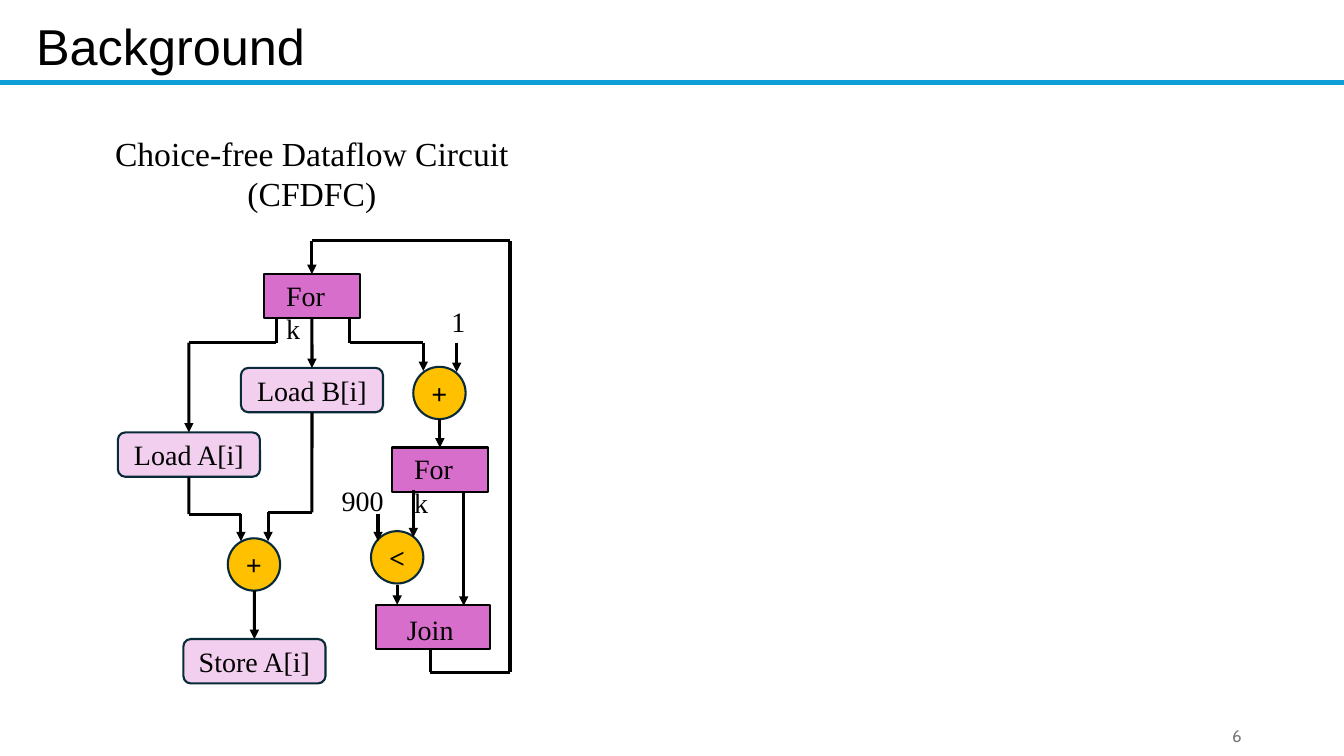
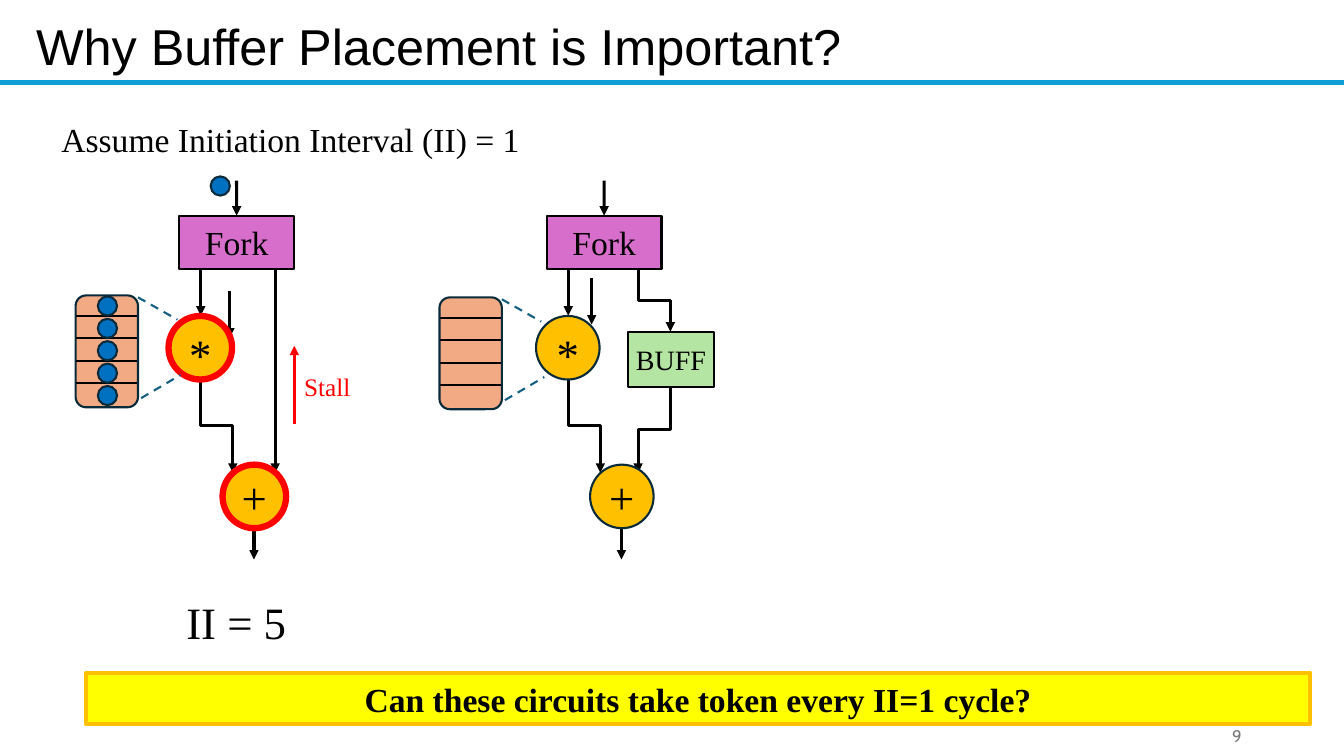
import pptx
import pptx.dml.color
import pptx.enum.dml
import pptx.enum.shapes
import pptx.enum.text
import pptx.oxml
import pptx.oxml.ns
import pptx.shapes.base
import pptx.util

Pt = pptx.util.Pt
RGBColor = pptx.dml.color.RGBColor
SHAPE = pptx.enum.shapes.MSO_SHAPE
CONNECTOR = pptx.enum.shapes.MSO_CONNECTOR
ALIGN = pptx.enum.text.PP_ALIGN
ANCHOR = pptx.enum.text.MSO_ANCHOR
DASH = pptx.enum.dml.MSO_LINE.DASH

# Colours
BLACK = RGBColor(0x00, 0x00, 0x00)
RED = RGBColor(0xFF, 0x00, 0x00)
RULE_BLUE = RGBColor(0x0F, 0x9E, 0xD5)
NUMBER_GREY = RGBColor(0x79, 0x79, 0x79)
OUTLINE = RGBColor(0x09, 0x2A, 0x39)
CONTROL_PURPLE = RGBColor(0xD8, 0x6E, 0xCC)
MEMORY_PINK = RGBColor(0xF2, 0xCF, 0xEE)
OPERATOR_GOLD = RGBColor(0xFF, 0xC0, 0x00)
BUFFER_GREEN = RGBColor(0xB4, 0xE5, 0xA2)
STAGE_ORANGE = RGBColor(0xF2, 0xAA, 0x84)
TOKEN_BLUE = RGBColor(0x00, 0x70, 0xC0)
ZOOM_BLUE = RGBColor(0x15, 0x60, 0x82)
BANNER_YELLOW = RGBColor(0xFF, 0xFF, 0x00)

TOP, BOTTOM = 0, 2  # connection sites of a rectangle
PAGE_WIDTH, PAGE_HEIGHT = 960, 540


class Sketch:
    """Holds the deck, its style and the current page; lengths in points."""

    def __init__(self):
        self.deck = pptx.Presentation()
        self.deck.slide_width = Pt(PAGE_WIDTH)
        self.deck.slide_height = Pt(PAGE_HEIGHT)
        self.page = None

    def new_page(self, title, number):
        self.page = self.deck.slides.add_slide(self.deck.slide_layouts[6])
        self.text(title, 18.7, 7.2, 800, 51, size=36, face="Arial", wrap=True)
        self.line((0, 59), (PAGE_WIDTH, 59), RULE_BLUE, 3)
        self.text(number, 678, 511, 216, 28.8, size=12, face="Cabin",
                  color=NUMBER_GREY, align=ALIGN.RIGHT, anchor=ANCHOR.MIDDLE, wrap=True)

    def fill_text(self, box, words, size, color=BLACK, face="Times New Roman", bold=False,
                  align=ALIGN.LEFT, anchor=ANCHOR.TOP, wrap=False, insets=None):
        frame = box.text_frame
        formats = {"word_wrap": wrap, "vertical_anchor": anchor}
        if insets:
            sides = ("margin_left", "margin_top", "margin_right", "margin_bottom")
            formats.update(zip(sides, map(Pt, insets)))
        for name, value in formats.items():
            setattr(frame, name, value)
        for index, line in enumerate(words.split("\n")):
            para = frame.add_paragraph() if index else frame.paragraphs[0]
            para.alignment = align
            span = para.add_run()
            span.text = line
            for name, value in {"name": face, "size": Pt(size), "bold": bold}.items():
                setattr(span.font, name, value)
            span.font.color.rgb = color

    def text(self, words, left, top, width, height, **style):
        box = self.page.shapes.add_textbox(Pt(left), Pt(top), Pt(width), Pt(height))
        self.fill_text(box, words, **style)

    def shape(self, preset, left, top, width, height, fill, outline=OUTLINE,
              weight=1.5, words="", **style):
        box = self.page.shapes.add_shape(preset, Pt(left), Pt(top), Pt(width), Pt(height))
        box.shadow.inherit = False
        box.fill.solid()
        box.fill.fore_color.rgb = fill
        box.line.color.rgb = outline
        box.line.width = Pt(weight)
        if words:
            centred = {"align": ALIGN.CENTER, "anchor": ANCHOR.MIDDLE, "insets": (0, 0, 0, 0)}
            self.fill_text(box, words, **{**centred, **style})
        return box

    def circle(self, left, top, size, fill, **style):
        # The text size travels in style, the diameter in size
        text_size = style.pop("text_size", None)
        if text_size:
            style["size"] = text_size
        return self.shape(SHAPE.OVAL, left, top, size, size, fill, **style)

    def finish_line(self, link, color, weight, head, dash=None):
        link.line.color.rgb = color
        link.line.width = Pt(weight)
        if dash:
            link.line.dash_style = dash
        properties = link.element.spPr
        if head:
            end = pptx.oxml.parse_xml(
                '<a:tailEnd %s type="triangle"/>' % pptx.oxml.ns.nsdecls("a"))
            properties.get_or_add_ln().append(end)
        properties.append(
            pptx.oxml.parse_xml("<a:effectLst %s/>" % pptx.oxml.ns.nsdecls("a")))

    def line(self, start, end, color=BLACK, weight=2.25, head=False, dash=None):
        """Each end is an (x, y) point or a (shape, site) pair to join."""
        places = []
        for spot, site in (start, end):
            if isinstance(spot, pptx.shapes.base.BaseShape):
                edge = spot.top + (spot.height if site == BOTTOM else 0)
                places += [spot.left + spot.width // 2, edge]
            else:
                places += [Pt(spot), Pt(site)]
        link = self.page.shapes.add_connector(CONNECTOR.STRAIGHT, *places)
        for join, (spot, site) in ((link.begin_connect, start), (link.end_connect, end)):
            if isinstance(spot, pptx.shapes.base.BaseShape):
                join(spot, site)
        self.finish_line(link, color, weight, head, dash)

    def arrow(self, *points, color=BLACK):
        """Straight pieces through the points, with a head on the last one."""
        for index in range(len(points) - 1):
            self.line(points[index], points[index + 1], color,
                      head=index == len(points) - 2)

    def elbow(self, x1, y1, x2, y2):
        """Arrow that runs down, across and down again: a turned elbow."""
        half_run, half_drop = abs(x2 - x1) / 2, (y2 - y1) / 2
        x, y = (x1 + x2) / 2, (y1 + y2) / 2
        link = self.page.shapes.add_connector(
            CONNECTOR.ELBOW, Pt(x - half_drop), Pt(y - half_run),
            Pt(x + half_drop), Pt(y + half_run))
        frame = link.element.spPr.xfrm
        frame.set("rot", "16200000" if x2 > x1 else "5400000")
        if x2 > x1:
            frame.set("flipH", "1")
        self.finish_line(link, BLACK, 2.25, True)


def background(sketch):
    sketch.new_page("Background", "6")
    sketch.text("Choice-free Dataflow Circuit\n(CFDFC)", 51.8, 91.4, 342, 65.5,
                size=24, align=ALIGN.CENTER, wrap=True)

    # Nodes
    def control(words, left, top, width, **style):
        return sketch.shape(SHAPE.RECTANGLE, left, top, width, 31.7, CONTROL_PURPLE,
                            BLACK, words=words, size=20, **style)

    def memory(words, left, top):
        return sketch.shape(SHAPE.ROUNDED_RECTANGLE, left, top, 101.5, 31.7,
                            MEMORY_PINK, words=words, size=20)

    narrow = {"align": ALIGN.LEFT, "anchor": ANCHOR.TOP, "wrap": True,
              "insets": (15.8, 2.9, 23, 0)}
    fork = control("Fork", 188.6, 195.8, 68.4, **narrow)
    loop_fork = control("Fork", 280, 319.7, 68.4, **narrow)
    control("Join", 268.6, 432, 81.4, insets=(0, 3, 4, 0))
    load_a = memory("Load A[i]", 84.2, 308.9)
    load_b = memory("Load B[i]", 172.1, 262.8)
    store = memory("Store A[i]", 131, 456.5)
    for sign, left, top in (("+", 295.2, 262), ("<", 265, 379.4), ("+", 162.7, 384.5)):
        sketch.circle(left, top, 37.4, OPERATOR_GOLD, words=sign, text_size=20, bold=True)
    sketch.text("1", 315.4, 213.8, 20.9, 26, size=20)
    sketch.text("900", 236.9, 342, 44.6, 31.7, size=20)

    # Data paths
    for points in (
        [(197.3, 227.5), (197.3, 244.8), (134.9, 244.8), (load_a, TOP)],
        [(fork, BOTTOM), (load_b, TOP)],
        [(249.8, 227.5), (249.8, 244.8), (302.4, 244.8), (302.4, 265)],
        [(326.2, 244.8), (326.2, 265.7)],
        [(314.2, 299.5), (loop_fork, TOP)],
        [(331.2, 351.4), (331.2, 432.7)],
        [(295.2, 350), (295.2, 383.8)],
        [(270, 367.2), (270, 386.6)],
        [(283.7, 417.6), (283.7, 432)],
        [(load_a, BOTTOM), (134.9, 367.2), (172.1, 367.2), (172.1, 386.6)],
        [(load_b, BOTTOM), (222.8, 366), (191.5, 366), (191.5, 386.6)],
        [(181.7, 421.9), (store, TOP)],
        [(307.4, 463.7), (307.4, 480.2), (364.3, 480.2), (364.3, 172.1),
         (222.8, 172.1), (fork, TOP)],
    ):
        sketch.arrow(*points)


def multiplier_stages(sketch, left, top):
    """Zoomed view of the pipeline stages inside a multiplier."""
    sketch.shape(SHAPE.ROUNDED_RECTANGLE, left, top, 44.6, 79.9, STAGE_ORANGE)
    for x1, y1, x2, y2 in ((44.6, 1.4, 72.7, 17.3), (46.8, 73.4, 74.9, 56.9)):
        sketch.line((left + x1, top + y1), (left + x2, top + y2), ZOOM_BLUE, 1.5, dash=DASH)
    for slot in range(4):
        y = top + 14.6 + 16 * slot
        sketch.line((left + 0.5, y), (left + 44.2, y), weight=1.5)


def circuit(sketch, left, operand, **ring):
    """Fork, multiplier and adder; operand is the start of the second input."""
    fork = sketch.shape(SHAPE.RECTANGLE, left + 128, 154, 82.1, 38.2, CONTROL_PURPLE,
                        BLACK, words="Fork", size=24)
    sketch.arrow((left + 169, 129), (fork, TOP))
    sketch.arrow((left + 143.4, 193), (left + 143.4, 225.4))
    sketch.elbow(left + 143.4, 270, left + 166.3, 337.7)
    sketch.arrow((left + 181.4, 376.6), (left + 181.4, 399.6))
    x, y = operand
    sketch.arrow((x, y), (x, y + 33.1))
    sketch.circle(left + 120.4, 225.7, 45.4, OPERATOR_GOLD, words="*", text_size=32,
                  insets=(0, 9, 0, 0), **ring)
    sketch.circle(left + 159, 331.9, 45.4, OPERATOR_GOLD, words="+", text_size=32, **ring)


def buffer_placement(sketch):
    sketch.new_page("Why Buffer Placement is Important?", "9")
    sketch.text("Assume Initiation Interval (II) = 1", 36.7, 81.4, 345, 36, size=24)

    # Stalled circuit
    sketch.arrow((196.6, 193), (196.6, 337.7))
    circuit(sketch, 0, (164.2, 208), outline=RED, weight=4.5)
    sketch.arrow((210.2, 303.1), (210.2, 247), color=RED)
    sketch.text("Stall", 210.2, 261.4, 47.5, 28.8, size=18, color=RED)
    multiplier_stages(sketch, 54, 211)
    tokens = [(150.5, 126)] + [(69.9, 211.7 + 16 * slot) for slot in range(5)]
    for left, top in tokens:
        sketch.circle(left, top, 13.7, TOKEN_BLUE)
    sketch.text("II = 5", 126, 421.2, 86.4, 46, size=32)

    # Buffered circuit
    sketch.elbow(455.8, 192, 478.8, 236.9)
    sketch.elbow(478.8, 275.8, 455.8, 337.7)
    sketch.shape(SHAPE.RECTANGLE, 448.6, 236.9, 61.2, 39.6, BUFFER_GREEN, BLACK,
                 words="BUFF", size=20)
    circuit(sketch, 262.5, (422.6, 198.7))
    multiplier_stages(sketch, 313.9, 212.4)

    # Question banner
    sketch.shape(SHAPE.RECTANGLE, 61.2, 481, 874.8, 36, BANNER_YELLOW, OPERATOR_GOLD, 3,
                 words="Can these circuits take token every II=1 cycle?", size=24, bold=True)


def main():
    sketch = Sketch()
    background(sketch)
    buffer_placement(sketch)
    sketch.deck.save("out.pptx")


if __name__ == "__main__":
    main()
